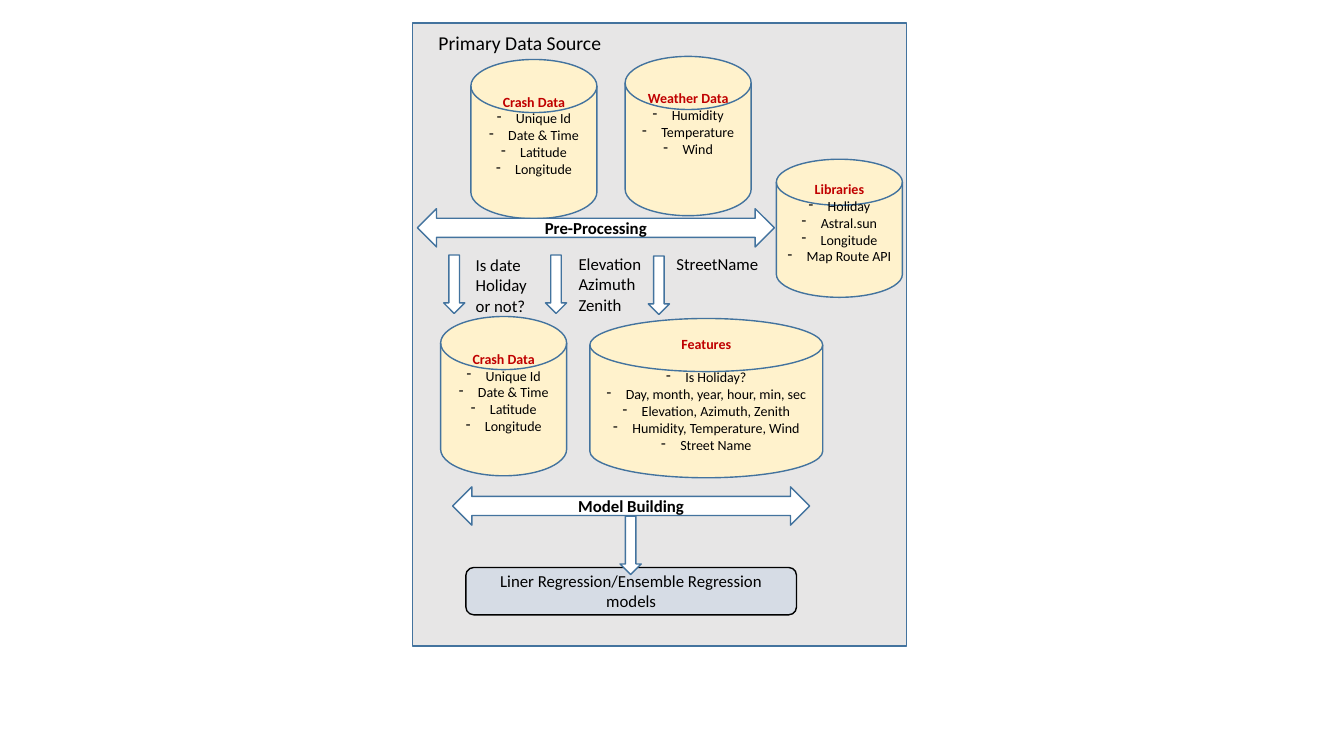
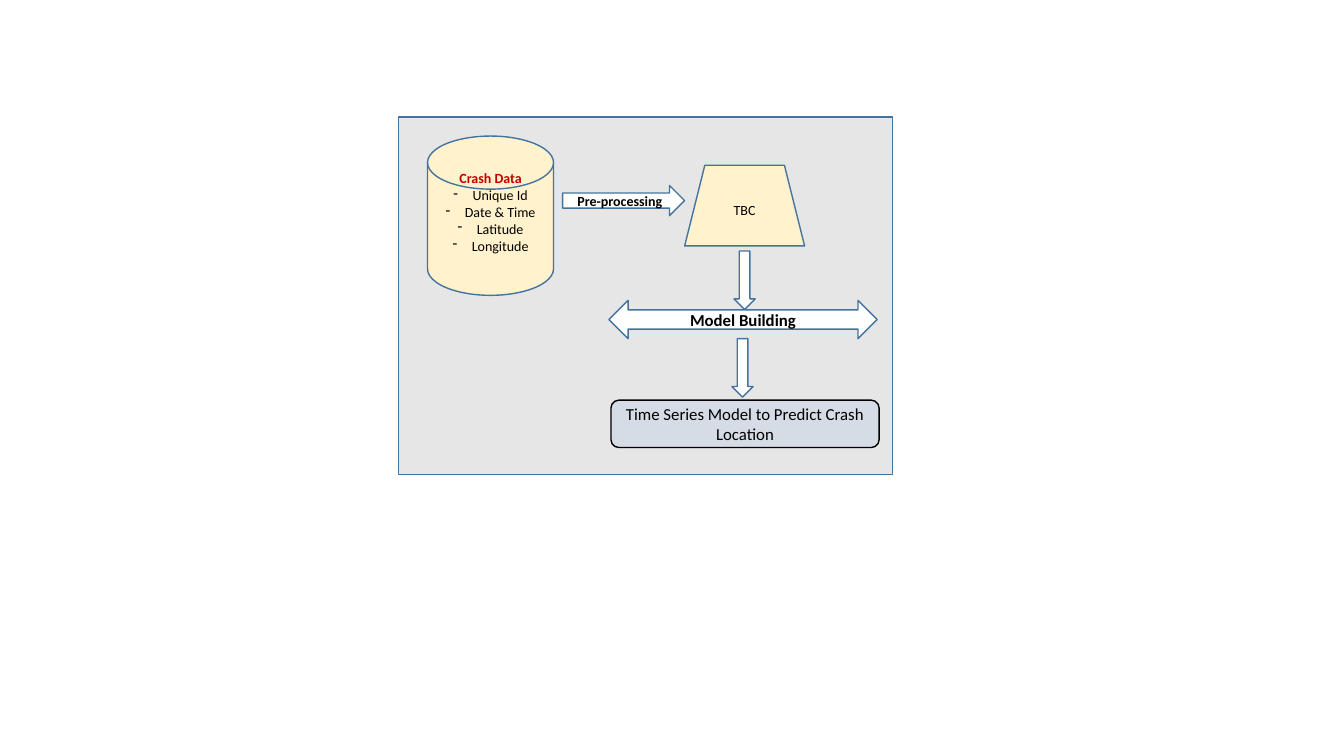
from lxml import etree
from pptx import Presentation
from pptx import util as u
from pptx.dml.color import RGBColor
from pptx.enum import shapes, text
from pptx.oxml import ns

PX = 9144  # 100 px to the inch
FONT = "Calibri"
COLORS = {
    "panel": "E7E6E6", "store": "FFF2CC", "arrow": "FFFFFF", "model": "D6DCE5",
    "outline": "43739E", "black": "000000", "heading": "C00000",
}
KIND = shapes.MSO_SHAPE
# name: (preset, fill, outline, text size, bold)
STYLES = {
    "panel": (KIND.RECTANGLE, "panel", "outline", 12, False),
    "store": (KIND.FLOWCHART_MAGNETIC_DISK, "store", "outline", 10, False),
    "pending": (KIND.TRAPEZOID, "store", "outline", 10, False),
    "stage": (KIND.LEFT_RIGHT_ARROW, "arrow", "outline", 12, True),
    "step": (KIND.RIGHT_ARROW, "arrow", "outline", 10, True),
    "down": (KIND.DOWN_ARROW, "arrow", "outline", 12, False),
    "model": (KIND.FLOWCHART_ALTERNATE_PROCESS, "model", "black", 12, False),
}
LABEL_SIZES = {"caption": 14, "label": 12}
STORE_LINES, STORE_LINE_PX, INSET_PX = 7, 17, 5
BULLET_INDENT = 19
DOWN_SIZE = (21, 58)
STORE_SIZE = (125, 158)

CRASH = ["Crash Data", "Unique Id", "Date & Time", "Latitude", "Longitude"]
WEATHER = ["Weather Data", "Humidity", "Temperature", "Wind"]
LIBRARIES = ["Libraries", "Holiday", "Astral.sun", "Longitude", "Map Route API"]
FEATURES = ["Features", "Is Holiday?", "Day, month, year, hour, min, sec",
            "Elevation, Azimuth, Zenith", "Humidity, Temperature, Wind",
            "Street Name"]

# Each item: (style, (left, top, width, height), lines)
SLIDES = [
    [
        ("panel", (409, 23, 490, 618), []),
        ("store", (467, 59, *STORE_SIZE), CRASH),
        ("caption", (425, 26, 201, 34), ["Primary Data Source"]),
        ("stage", (414, 207, 354, 38), ["Pre-Processing"]),
        ("down", (440, 253, *DOWN_SIZE), []),
        ("label", (462, 248, 84, 71), ["Is date Holiday or not?"]),
        ("model", (462, 563, 328, 47),
         ["Liner Regression/Ensemble Regression models"]),
        ("down", (541, 253, *DOWN_SIZE), []),
        ("store", (770, 158, 125, 137), LIBRARIES),
        ("store", (620, 56, *STORE_SIZE), WEATHER),
        ("label", (564, 247, 84, 71), ["Elevation", "Azimuth", "Zenith"]),
        ("down", (643, 254, *DOWN_SIZE), []),
        ("label", (661, 247, 105, 30), ["StreetName"]),
        ("store", (585, 316, 231, 158), FEATURES),
        ("store", (437, 314, *STORE_SIZE), CRASH),
        ("stage", (449, 483, 354, 38), ["Model Building"]),
        ("down", (615, 512, *DOWN_SIZE), []),
    ],
    [
        ("panel", (395, 116, 490, 355), []),
        ("step", (558, 184, 121, 30), ["Pre-processing"]),
        ("stage", (604, 298, 266, 38), ["Model Building"]),
        ("down", (728, 249, *DOWN_SIZE), []),
        ("model", (606, 397, 266, 47),
         ["Time Series Model to Predict Crash Location"]),
        ("store", (424, 135, *STORE_SIZE), CRASH),
        ("pending", (679, 164, 119, 80), ["TBC"]),
        ("down", (726, 336, *DOWN_SIZE), []),
    ],
]


def rgb(name):
    return RGBColor.from_string(COLORS[name])


def write_lines(frame, lines, size, bold=False, centred=True):
    frame.word_wrap = True
    for index, line in enumerate(lines):
        paragraph = frame.paragraphs[0] if index == 0 else frame.add_paragraph()
        if centred:
            paragraph.alignment = text.PP_ALIGN.CENTER
        run = paragraph.add_run()
        run.text = line
        run.font.name = FONT
        run.font.size = u.Pt(size)
        run.font.bold = bold
        run.font.color.rgb = rgb("black")


def format_store(frame):
    """Make the first line a red heading, the rest dashed, and lift the text."""
    heading, *items = frame.paragraphs
    heading.runs[0].font.bold = True
    heading.runs[0].font.color.rgb = rgb("heading")
    if len(items) > 4:
        heading.space_after = u.Pt(12)
    for paragraph in items:
        properties = paragraph._p.get_or_add_pPr()
        properties.set("marL", str(BULLET_INDENT * PX))
        properties.set("indent", str(-BULLET_INDENT * PX))
        bullet = etree.SubElement(properties, ns.qn("a:buChar"))
        bullet.set("char", "-")
    spare_lines = max(2, STORE_LINES - len(frame.paragraphs))
    frame.margin_bottom = (INSET_PX + spare_lines * STORE_LINE_PX) * PX


def add_label(slide, style, box, lines):
    frame = slide.shapes.add_textbox(*box).text_frame
    write_lines(frame, lines, LABEL_SIZES[style], centred=False)
    frame.auto_size = text.MSO_AUTO_SIZE.SHAPE_TO_FIT_TEXT


def add_block(slide, style, box, lines):
    preset, fill, outline, size, bold = STYLES[style]
    shape = slide.shapes.add_shape(preset, *box)
    shape.shadow.inherit = False
    shape.fill.solid()
    shape.fill.fore_color.rgb = rgb(fill)
    shape.line.color.rgb = rgb(outline)
    shape.line.width = u.Pt(1)
    frame = shape.text_frame
    frame.vertical_anchor = text.MSO_ANCHOR.MIDDLE
    write_lines(frame, lines, size, bold)
    if style == "store":
        format_store(frame)


def main():
    presentation = Presentation()
    presentation.slide_width = 1333 * PX
    presentation.slide_height = 750 * PX
    blank = presentation.slide_layouts[6]
    for items in SLIDES:
        slide = presentation.slides.add_slide(blank)
        for style, lengths, lines in items:
            box = [length * PX for length in lengths]
            add = add_label if style in LABEL_SIZES else add_block
            add(slide, style, box, lines)
    presentation.save("out.pptx")


if __name__ == "__main__":
    main()
